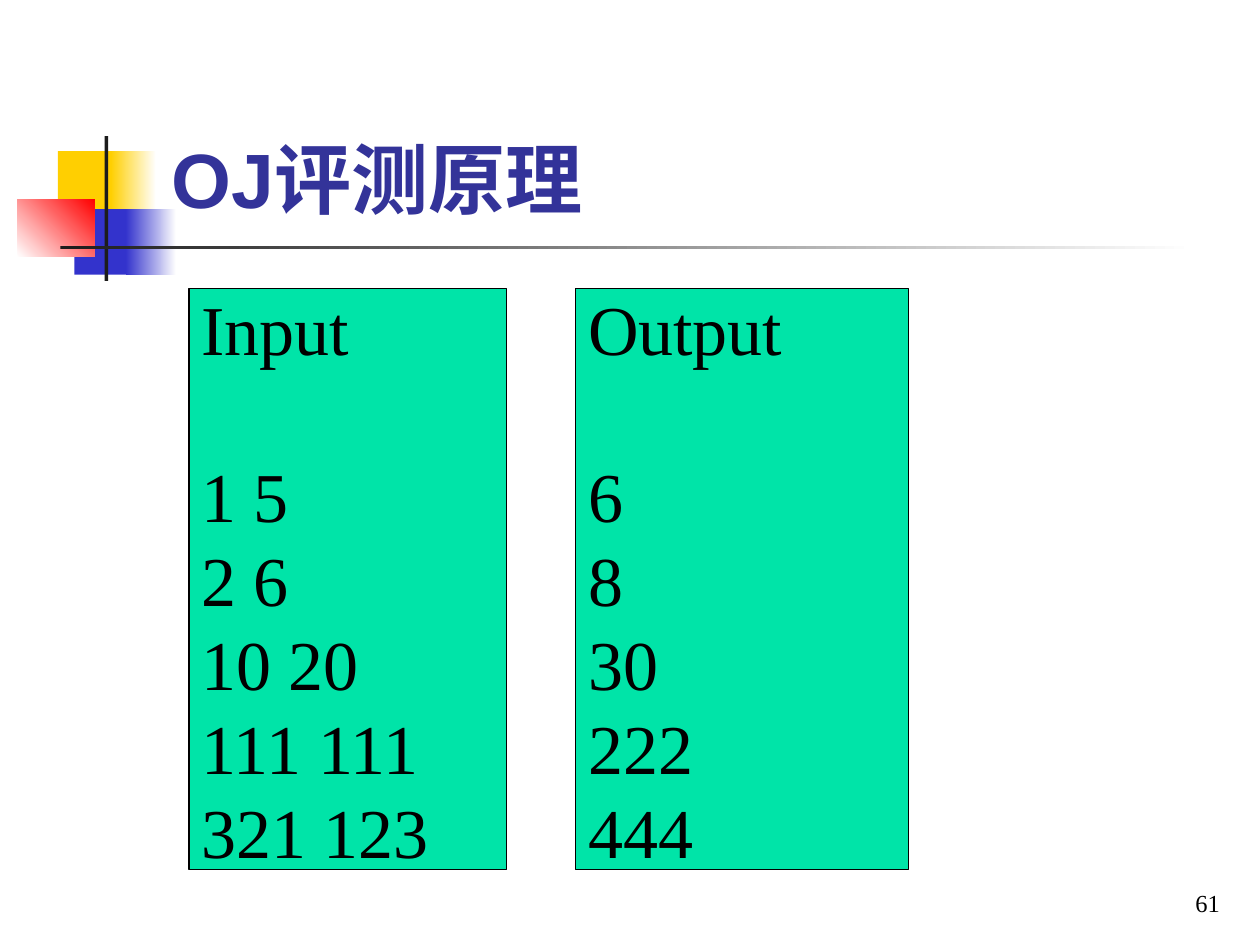
from pptx import Presentation
from pptx.dml.color import RGBColor
from pptx.enum.shapes import MSO_SHAPE
from pptx.enum.text import MSO_ANCHOR, MSO_AUTO_SIZE, PP_ALIGN
from pptx.util import Inches, Pt

RECTANGLE = MSO_SHAPE.RECTANGLE
BOTTOM, MIDDLE = MSO_ANCHOR.BOTTOM, MSO_ANCHOR.MIDDLE
LEFT, RIGHT = PP_ALIGN.LEFT, PP_ALIGN.RIGHT
NO_AUTOFIT = MSO_AUTO_SIZE.NONE

COLORS = {
    "yellow": "FFCF01",
    "blue": "3333CC",
    "red": "FF0000",
    "white": "FFFFFF",
    "dark": "1C1C1C",
    "title": "333399",
    "panel": "00E4A8",
    "black": "000000",
}


def rgb(name):
    return RGBColor.from_string(COLORS[name])


def add_rectangle(left, top, width, height, start, end=None, angle=0):
    rectangle = slide.shapes.add_shape(
        RECTANGLE, Inches(left), Inches(top), Inches(width), Inches(height)
    )
    rectangle.shadow.inherit = False
    rectangle.line.fill.background()
    if end is None:
        rectangle.fill.solid()
        rectangle.fill.fore_color.rgb = rgb(start)
    else:
        rectangle.fill.gradient()
        rectangle.fill.gradient_angle = angle
        for stop, position, color in zip(rectangle.fill.gradient_stops, (0, 1), (start, end)):
            stop.position = position
            stop.color.rgb = rgb(color)
    return rectangle


prs = Presentation()
prs.slide_width, prs.slide_height = Inches(10), Inches(7.5)
slide = prs.slides.add_slide(prs.slide_layouts[5])

decorations = [
    (0.46, 1.2, 0.48, 0.52, "yellow"),
    (0.88, 1.2, 0.36, 0.52, "yellow", "white"),
    (0.59, 1.66, 0.46, 0.52, "blue"),
    (1, 1.66, 0.4, 0.52, "blue", "white"),
    (0.14, 1.58, 0.61, 0.46, "white", "red", 45),
    (0.83, 1.08, 0.03, 1.15, "dark"),
    (0.48, 1.95, 9, 0.03, "dark", "white"),
]
for decoration in decorations:
    add_rectangle(*decoration)

title = slide.shapes.title
title.left, title.top = Inches(1.26), Inches(0.23)
title.width, title.height = Inches(8.52), Inches(1.6)
title.text_frame.text = "OJ评测原理"
title.text_frame.auto_size = NO_AUTOFIT
title.text_frame.vertical_anchor = BOTTOM
heading = title.text_frame.paragraphs[0]
heading.alignment = LEFT
heading.font.name = "Arial"
heading.font.size = Pt(44)
heading.font.bold = True
heading.font.color.rgb = rgb("title")

panels = [
    (1.5, 2.52, ["Input", "1 5", "2 6", "10 20", "111 111", "321 123"]),
    (4.57, 2.64, ["Output", "6", "8", "30", "222", "444"]),
]
for left, width, lines in panels:
    panel = add_rectangle(left, 2.29, width, 4.61, "panel")
    panel.line.color.rgb = rgb("black")
    panel.line.width = Pt(0.75)
    frame = panel.text_frame
    frame.word_wrap = False
    frame.vertical_anchor = MIDDLE
    frame.text = "\n".join(lines)
    for paragraph in frame.paragraphs:
        paragraph.alignment = LEFT
        paragraph.line_spacing = Pt(48)
        paragraph.font.name = "Times New Roman"
        paragraph.font.size = Pt(40)
        paragraph.font.color.rgb = rgb("black")
    frame.paragraphs[1].space_before = Pt(48)

page_number = slide.shapes.add_textbox(Inches(7.7), Inches(6.83), Inches(2.08), Inches(0.5))
page_number.text_frame.word_wrap = True
page_number.text_frame.vertical_anchor = BOTTOM
page_number.text_frame.text = "61"
number = page_number.text_frame.paragraphs[0]
number.alignment = RIGHT
number.font.name = "Times New Roman"
number.font.size = Pt(14)
number.font.color.rgb = rgb("black")

prs.save("out.pptx")
